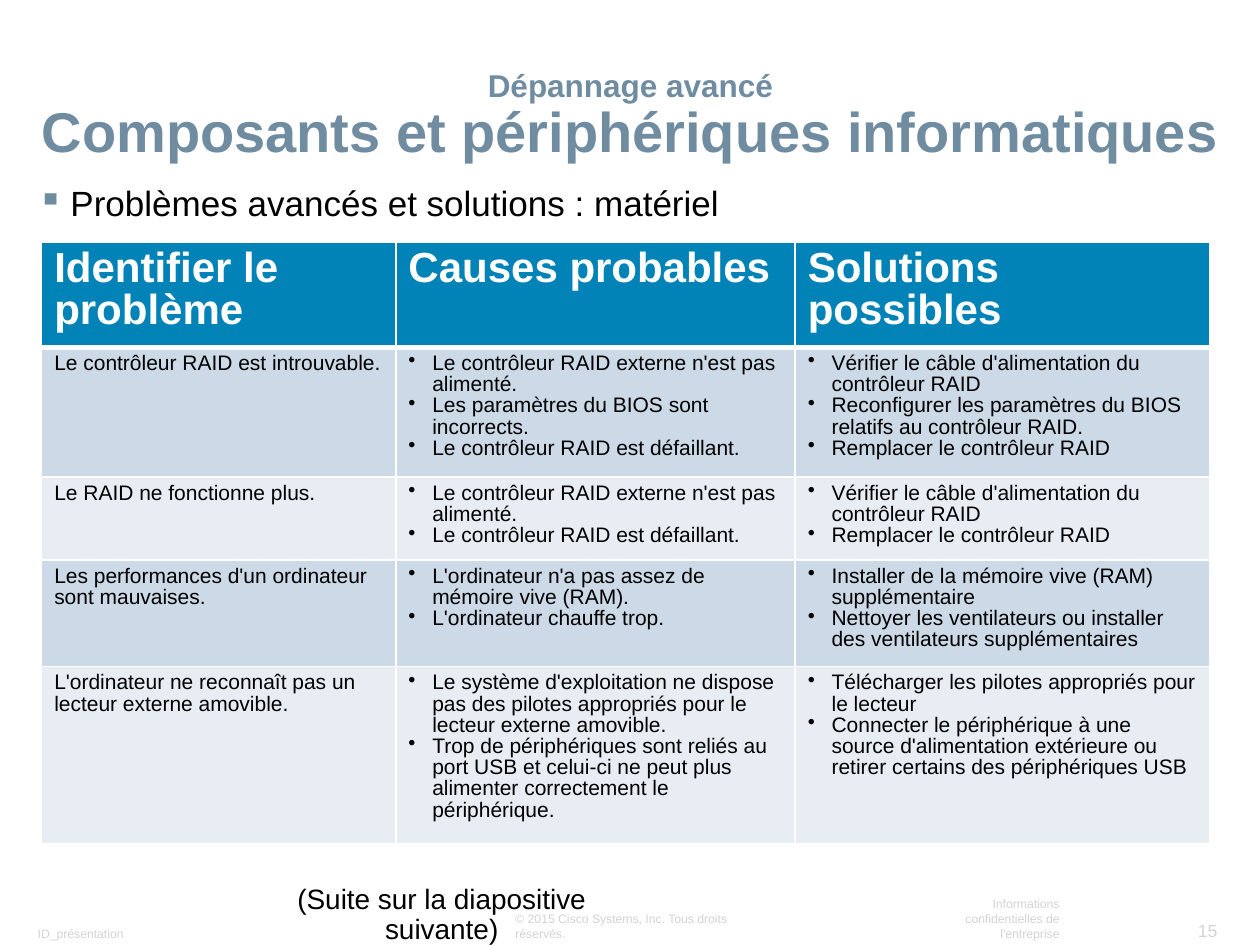
from dataclasses import dataclass

from lxml import etree
from pptx import Presentation
from pptx.dml.color import RGBColor
from pptx.enum.text import MSO_ANCHOR, PP_ALIGN
from pptx.oxml.ns import qn
from pptx.util import Cm, Pt

LEFT, CENTER, RIGHT = PP_ALIGN.LEFT, PP_ALIGN.CENTER, PP_ALIGN.RIGHT
TOP, BOTTOM = MSO_ANCHOR.TOP, MSO_ANCHOR.BOTTOM


@dataclass(frozen=True)
class Theme:
    font: str = "Arial"
    title: str = "708CA1"
    text: str = "000000"
    footer: str = "D3D3D3"
    white: str = "FFFFFF"
    header_fill: str = "0183B7"
    bands: tuple = ("CCD9E6", "E7EDF3")
    topic_size: int = 18
    title_size: int = 32
    body_size: int = 20
    header_size: int = 24
    cell_size: int = 12
    note_size: int = 16
    footer_size: int = 7
    number_size: int = 10


THEME = Theme()

COLUMN_WIDTHS = (7.14, 8.05, 8.36)
ROW_HEIGHTS = (2.12, 2.62, 1.67, 2.15, 3.57)
HEADERS = ("Identifier le problème", "Causes probables", "Solutions possibles")
PROBLEMS = (
    ("Le contrôleur RAID est introuvable.",
     ("Le contrôleur RAID externe n'est pas alimenté.",
      "Les paramètres du BIOS sont incorrects.",
      "Le contrôleur RAID est défaillant."),
     ("Vérifier le câble d'alimentation du contrôleur RAID",
      "Reconfigurer les paramètres du BIOS relatifs au contrôleur RAID.",
      "Remplacer le contrôleur RAID")),
    ("Le RAID ne fonctionne plus.",
     ("Le contrôleur RAID externe n'est pas alimenté.",
      "Le contrôleur RAID est défaillant."),
     ("Vérifier le câble d'alimentation du contrôleur RAID",
      "Remplacer le contrôleur RAID")),
    ("Les performances d'un ordinateur sont mauvaises.",
     ("L'ordinateur n'a pas assez de mémoire vive (RAM).",
      "L'ordinateur chauffe trop."),
     ("Installer de la mémoire vive (RAM) supplémentaire",
      "Nettoyer les ventilateurs ou installer des ventilateurs supplémentaires")),
    ("L'ordinateur ne reconnaît pas un lecteur externe amovible.",
     ("Le système d'exploitation ne dispose pas des pilotes appropriés "
      "pour le lecteur externe amovible.",
      "Trop de périphériques sont reliés au port USB et celui-ci ne peut plus "
      "alimenter correctement le périphérique."),
     ("Télécharger les pilotes appropriés pour le lecteur",
      "Connecter le périphérique à une source d'alimentation extérieure ou "
      "retirer certains des périphériques USB")),
)
FOOTERS = (
    ("ID_présentation", (0.53, 18.54, 2.67, 0.53), LEFT, THEME.footer_size),
    ("15", (23.88, 18.42, 0.89, 0.66), RIGHT, THEME.number_size),
    ("© 2015\u00a0Cisco Systems, Inc. Tous droits réservés.",
     (10.16, 18.54, 5.61, 0.53), LEFT, THEME.footer_size),
    ("Informations confidentielles de l'entreprise",
     (19.15, 18.54, 2.44, 0.53), RIGHT, THEME.footer_size),
)


def add_run(paragraph, text, size, color, bold=False):
    run = paragraph.add_run()
    run.text = text
    run.font.name = THEME.font
    run.font.size = Pt(size)
    run.font.bold = bold
    run.font.color.rgb = RGBColor.from_string(color)


def add_bullet(paragraph, char, indent, color=None):
    """Give the paragraph a bullet with a hanging indent in centimetres."""
    properties = paragraph._p.get_or_add_pPr()
    properties.set("marL", str(Cm(indent)))
    properties.set("indent", str(-Cm(indent)))
    if color:
        bullet_color = etree.SubElement(properties, qn("a:buClr"))
        etree.SubElement(bullet_color, qn("a:srgbClr"), val=color)
    etree.SubElement(properties, qn("a:buChar"), char=char)


def add_text_area(slide, area, align=LEFT, anchor=TOP, spacing=1.0):
    """Add a wrapping text box and return its first paragraph."""
    frame = slide.shapes.add_textbox(*map(Cm, area)).text_frame
    frame.word_wrap = True
    frame.vertical_anchor = anchor
    frame.margin_left = frame.margin_right = Cm(0.23)
    frame.margin_top = frame.margin_bottom = Cm(0.11)
    paragraph = frame.paragraphs[0]
    paragraph.alignment = align
    paragraph.line_spacing = spacing
    return paragraph


def add_title(slide):
    title = add_text_area(slide, (0.53, 1.09, 24.36, 2.34), CENTER, BOTTOM, 0.9)
    add_run(title, "Dépannage avancé", THEME.topic_size, THEME.title, True)
    title.add_line_break()
    add_run(title, "Composants et périphériques informatiques",
            THEME.title_size, THEME.title, True)


def add_subject(slide):
    subject = add_text_area(slide, (0.53, 3.61, 24.51, 2.39), spacing=0.95)
    add_bullet(subject, "▪", 0.66, THEME.title)
    add_run(subject, "Problèmes avancés et solutions\u00a0: matériel",
            THEME.body_size, THEME.text)


def style_cell(cell, fill, bottom_width=1):
    """Draw white borders, then the fill, which must follow them in the XML."""
    properties = cell._tc.get_or_add_tcPr()
    widths = {"a:lnL": 1, "a:lnR": 1, "a:lnT": 1, "a:lnB": bottom_width}
    for side, width in widths.items():
        border = etree.SubElement(properties, qn(side), w=str(Pt(width)))
        line_fill = etree.SubElement(border, qn("a:solidFill"))
        etree.SubElement(line_fill, qn("a:srgbClr"), val=THEME.white)
    cell.fill.solid()
    cell.fill.fore_color.rgb = RGBColor.from_string(fill)


def fill_cell(cell, lines, size, color, bold=False, bulleted=False):
    frame = cell.text_frame
    for index, line in enumerate(lines):
        paragraph = frame.add_paragraph() if index else frame.paragraphs[0]
        if bulleted:
            add_bullet(paragraph, "•", 0.48)
        paragraph.alignment = LEFT
        paragraph.line_spacing = 0.9
        add_run(paragraph, line, size, color, bold)


def add_problem_table(slide):
    table = slide.shapes.add_table(
        len(ROW_HEIGHTS), len(COLUMN_WIDTHS), Cm(0.84), Cm(4.88),
        Cm(sum(COLUMN_WIDTHS)), Cm(sum(ROW_HEIGHTS))).table
    for column, width in zip(table.columns, COLUMN_WIDTHS):
        column.width = Cm(width)
    for row, height in zip(table.rows, ROW_HEIGHTS):
        row.height = Cm(height)

    for cell, header in zip(table.rows[0].cells, HEADERS):
        style_cell(cell, THEME.header_fill, bottom_width=3)
        fill_cell(cell, [header], THEME.header_size, THEME.white, bold=True)
    for index, (problem, causes, solutions) in enumerate(PROBLEMS):
        cells = table.rows[index + 1].cells
        for column, (cell, lines) in enumerate(zip(cells, ([problem], causes, solutions))):
            style_cell(cell, THEME.bands[index % 2])
            fill_cell(cell, lines, THEME.cell_size, THEME.text, bulleted=column > 0)


def add_continuation(slide):
    note = add_text_area(slide, (5.49, 17.73, 6.83, 0.86), CENTER, spacing=0.9)
    add_run(note, "(Suite sur la diapositive suivante)", THEME.note_size, THEME.text)


def add_footers(slide):
    for text, area, align, size in FOOTERS:
        footer = add_text_area(slide, area, align, BOTTOM)
        add_run(footer, text, size, THEME.footer)


def main():
    presentation = Presentation()
    presentation.slide_width = Cm(25.4)
    presentation.slide_height = Cm(19.05)
    slide = presentation.slides.add_slide(presentation.slide_layouts[6])
    add_footers(slide)
    add_title(slide)
    add_subject(slide)
    add_problem_table(slide)
    add_continuation(slide)
    presentation.save("out.pptx")


if __name__ == "__main__":
    main()
